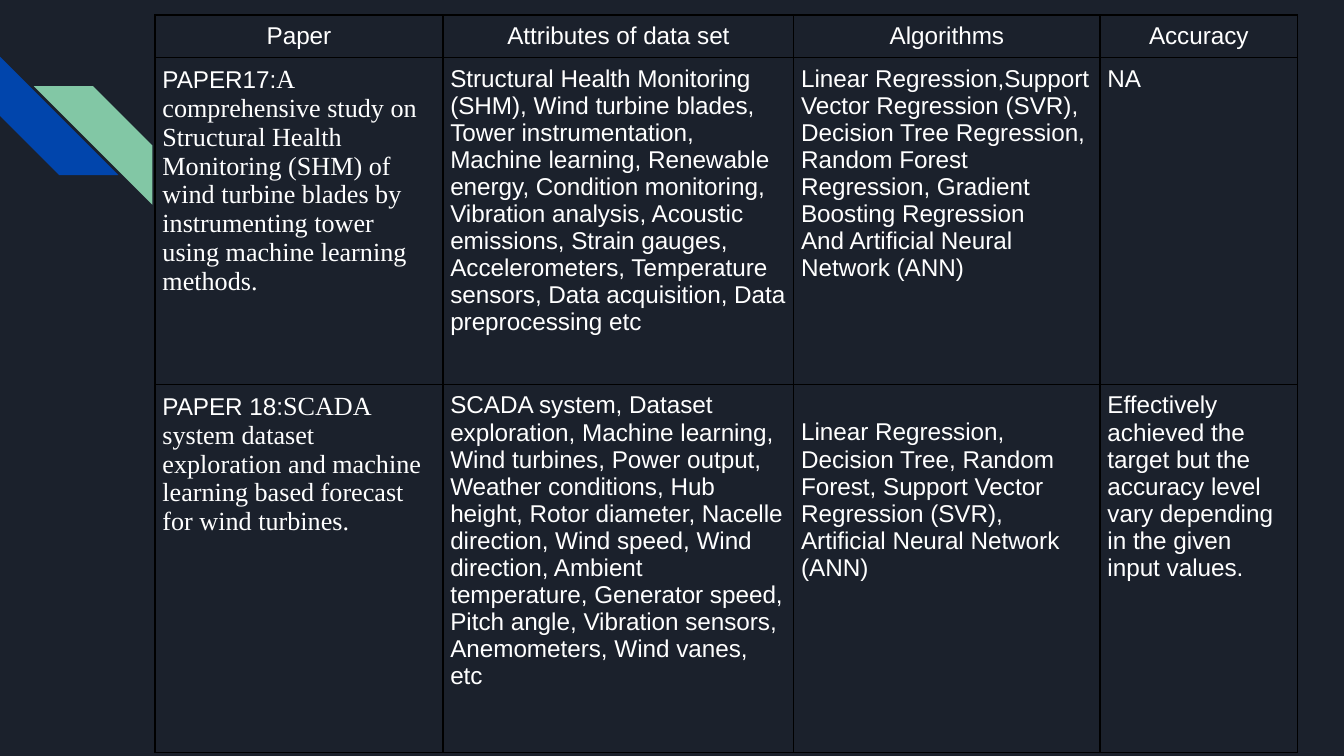
from lxml import etree
from pptx import Presentation
from pptx.dml.color import RGBColor
from pptx.enum.shapes import MSO_SHAPE
from pptx.enum.text import PP_ALIGN
from pptx.oxml.ns import qn
from pptx.util import Cm, Pt

STRIPE = MSO_SHAPE.DIAGONAL_STRIPE
LEFT, MID = PP_ALIGN.LEFT, PP_ALIGN.CENTER
HUES = {"back": "1B212C", "blue": "0145AC", "green": "82C7A5",
        "text": "FFFFFF", "line": "000000"}
SANS = ("Arial", 13)
SERIF = ("Times New Roman", 14)

HEADS = ["Paper", "Attributes of data set", "Algorithms", "Accuracy"]
PAPERS = [
    {
        "label": "PAPER17:",
        "title": "A comprehensive study on Structural Health Monitoring (SHM) of "
                 "wind turbine blades by instrumenting tower using machine learning methods.",
        "data": "Structural Health Monitoring (SHM), Wind turbine blades, Tower "
                "instrumentation, Machine learning, Renewable energy, Condition "
                "monitoring, Vibration analysis, Acoustic emissions, Strain gauges, "
                "Accelerometers, Temperature sensors, Data acquisition, Data "
                "preprocessing etc",
        "models": ["Linear Regression,Support Vector Regression (SVR), Decision Tree "
                   "Regression, Random Forest Regression, Gradient Boosting Regression",
                   "And Artificial Neural Network (ANN)"],
        "score": "NA",
    },
    {
        "label": "PAPER 18:",
        "title": "SCADA system dataset exploration and machine learning based "
                 "forecast for wind turbines.",
        "data": "SCADA system, Dataset exploration, Machine learning, Wind turbines, "
                "Power output, Weather conditions, Hub height, Rotor diameter, Nacelle "
                "direction, Wind speed, Wind direction, Ambient temperature, Generator "
                "speed, Pitch angle, Vibration sensors, Anemometers, Wind vanes, etc",
        "models": ["Linear Regression, Decision Tree, Random Forest, Support Vector "
                   "Regression (SVR), Artificial Neural Network (ANN)"],
        "score": "Effectively achieved the target but the accuracy level vary "
                 "depending in the given input values.",
    },
]
BANDS = [(0, 1.07, 270, "blue"), (0.64, 1.63, 90, "green")]
BAND = 2.24
WIDTHS = [5.44, 6.63, 5.79, 3.73]
HEIGHTS = [0.81, 6.18, 6.95]
PAD = 0.14
DROP = {(2, 2): 0.51}


def hue(name):
    return RGBColor.from_string(HUES[name])


def add_run(para, text, font):
    run = para.add_run()
    run.text = text
    run.font.name, size = font
    run.font.size = Pt(size)
    run.font.bold = False
    run.font.color.rgb = hue("text")


def edge(cell):
    props = cell._tc.get_or_add_tcPr()
    for side in ("lnL", "lnR", "lnT", "lnB"):
        line = etree.SubElement(props, qn(f"a:{side}"), w=str(Pt(1)))
        fill = etree.SubElement(line, qn("a:solidFill"))
        etree.SubElement(fill, qn("a:srgbClr"), val=HUES["line"])


def fill_cell(cell, paras, align, drop):
    edge(cell)
    cell.fill.background()
    cell.margin_left = cell.margin_right = cell.margin_bottom = Cm(PAD)
    cell.margin_top = Cm(PAD + drop)
    frame = cell.text_frame
    for i, runs in enumerate(paras):
        para = frame.add_paragraph() if i else frame.paragraphs[0]
        para.alignment = align
        for text, font in runs:
            add_run(para, text, font)


def paper_row(paper):
    return [
        [[(paper["label"], SANS), (paper["title"], SERIF)]],
        [[(paper["data"], SANS)]],
        [[(text, SANS)] for text in paper["models"]],
        [[(paper["score"], SANS)]],
    ]


def main():
    deck = Presentation()
    deck.slide_width, deck.slide_height = Cm(25.4), Cm(14.29)
    slide = deck.slides.add_slide(deck.slide_layouts[6])
    slide.background.fill.solid()
    slide.background.fill.fore_color.rgb = hue("back")

    for left, top, turn, name in BANDS:
        band = slide.shapes.add_shape(STRIPE, Cm(left), Cm(top), Cm(BAND), Cm(BAND))
        band.rotation = turn
        band.shadow.inherit = False
        band.fill.solid()
        band.fill.fore_color.rgb = hue(name)
        band.line.fill.background()

    rows = [[[[(head, SANS)]] for head in HEADS]] + [paper_row(p) for p in PAPERS]
    table = slide.shapes.add_table(len(rows), len(HEADS), Cm(2.93), Cm(0.28),
                                   Cm(sum(WIDTHS)), Cm(sum(HEIGHTS))).table
    table.first_row = table.horz_banding = False
    for col, width in zip(table.columns, WIDTHS):
        col.width = Cm(width)
    for row, height in zip(table.rows, HEIGHTS):
        row.height = Cm(height)
    for r, row in enumerate(rows):
        for c, paras in enumerate(row):
            fill_cell(table.cell(r, c), paras, LEFT if r else MID, DROP.get((r, c), 0))

    deck.save("out.pptx")


if __name__ == "__main__":
    main()
